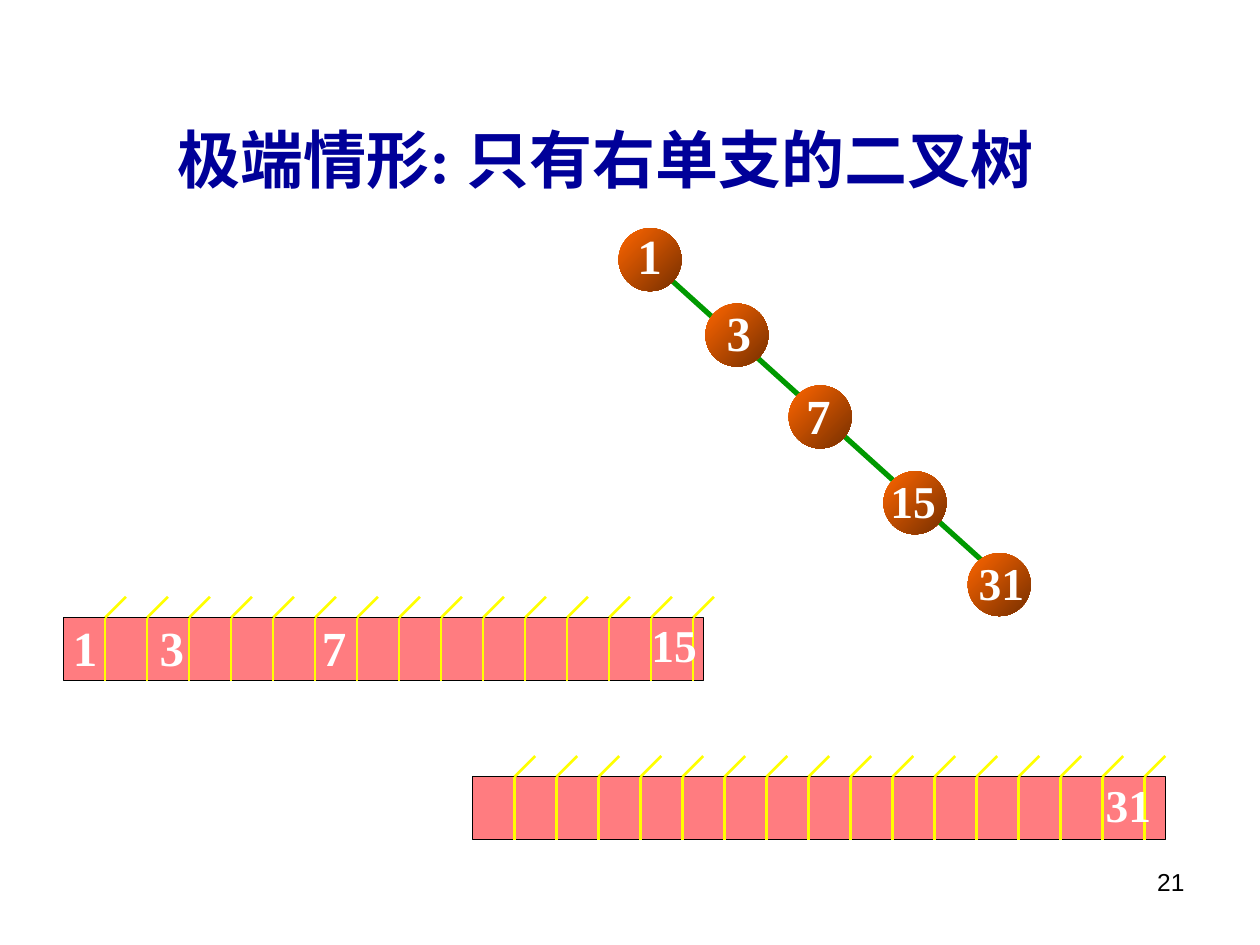
from lxml import etree
from pptx import Presentation
from pptx.dml.color import RGBColor
from pptx.enum.shapes import MSO_CONNECTOR, MSO_SHAPE
from pptx.enum.text import MSO_ANCHOR, MSO_AUTO_SIZE, PP_ALIGN
from pptx.oxml.ns import qn
from pptx.util import Cm, Pt

COLORS = {name: RGBColor.from_string(value) for name, value in {
    "title": "000099", "branch": "009900", "node_light": "FF6600",
    "node_dark": "762F00", "array": "FF7C80", "tick": "FFFF00",
    "white": "FFFFFF", "black": "000000"}.items()}
SERIF = "Times New Roman"
NODE_SIZE = 1.27
ARRAY_HEIGHT = 1.27
TICK_PITCH = 2.54 / 3
TICK_SLANT = 0.42


def write(shape, text, alignment, anchor=MSO_ANCHOR.MIDDLE, wrap=False, **font_format):
    """Fill a shape with one formatted paragraph."""
    frame = shape.text_frame
    frame.text = text
    frame.word_wrap = wrap
    frame.vertical_anchor = anchor
    frame.auto_size = MSO_AUTO_SIZE.NONE if wrap else MSO_AUTO_SIZE.SHAPE_TO_FIT_TEXT
    paragraph = frame.paragraphs[0]
    paragraph.alignment = alignment
    font = paragraph.runs[0].font
    font.color.rgb = COLORS[font_format.pop("color")]
    for name, value in font_format.items():
        setattr(font, name, value)


def add_line(shapes, start, end, color, width):
    line = shapes.add_connector(MSO_CONNECTOR.STRAIGHT, *map(Cm, start + end))
    line.line.color.rgb = COLORS[color]
    line.line.width = Pt(width)
    etree.SubElement(line._element.spPr, qn("a:effectLst"))


presentation = Presentation()
presentation.slide_width = Cm(25.4)
presentation.slide_height = Cm(19.05)
slide = presentation.slides.add_slide(presentation.slide_layouts[5])

title = slide.shapes.title
title.left, title.top, title.width, title.height = map(Cm, (3.02, 2.31, 18.36, 1.78))
title.text_frame.margin_left = title.text_frame.margin_right = 0
write(title, "极端情形: 只有右单支的二叉树", PP_ALIGN.CENTER, wrap=True,
      name=SERIF, size=Pt(36), bold=True, color="title")

# Tree: one branch line behind the nodes
tree = slide.shapes.add_group_shape().shapes
add_line(tree, (13.36, 5.49), (20.14, 11.61), "branch", 3)
for left, top in [(12.47, 4.6), (14.22, 6.12), (15.9, 7.77), (17.81, 9.5), (19.51, 11.15)]:
    node = tree.add_shape(MSO_SHAPE.OVAL, Cm(left), Cm(top), Cm(NODE_SIZE), Cm(NODE_SIZE))
    node.shadow.inherit = False
    node.line.fill.background()
    node.fill.gradient()
    node.fill.gradient_angle = 315
    for stop, color in zip(node.fill.gradient_stops, ("node_light", "node_dark")):
        stop.color.rgb = COLORS[color]

# Arrays: left, top, width, first tick, number of ticks
for left, top, width, first_tick, tick_count in [
        (9.53, 15.66, 13.97, 10.37, 16), (1.28, 12.45, 12.9, 2.12, 15)]:
    array = slide.shapes.add_shape(
        MSO_SHAPE.RECTANGLE, Cm(left), Cm(top), Cm(width), Cm(ARRAY_HEIGHT))
    array.shadow.inherit = False
    array.fill.solid()
    array.fill.fore_color.rgb = COLORS["array"]
    array.line.color.rgb = COLORS["black"]
    array.line.width = Pt(0.75)
    for index in range(tick_count):
        x = first_tick + index * TICK_PITCH
        for end in [(x, top + ARRAY_HEIGHT), (x + TICK_SLANT, top - TICK_SLANT)]:
            add_line(slide.shapes, (x, top), end, "tick", 1.5)

# Numbers on the tree nodes and in the array cells
node_labels = [("1", 12.6, 4.42), ("3", 14.4, 5.97), ("7", 16, 7.65),
               ("15", 17.7, 9.4), ("31", 19.48, 11.05)]
cell_labels = [("1", 1.22, 12.32), ("3", 2.97, 12.32), ("7", 6.24, 12.32),
               ("15", 12.88, 12.31), ("31", 22.04, 15.52)]
for shapes, labels, alignment in [(tree, node_labels, PP_ALIGN.CENTER),
                                  (slide.shapes, cell_labels, PP_ALIGN.LEFT)]:
    for text, left, top in labels:
        width, height, size = (0.99, 1.45, 28) if len(text) == 1 else (1.42, 1.37, 26)
        label = shapes.add_textbox(Cm(left), Cm(top), Cm(width), Cm(height))
        write(label, text, alignment, name=SERIF, size=Pt(size), bold=True, color="white")

page_number = slide.shapes.add_textbox(Cm(18.21), Cm(17.35), Cm(5.92), Cm(1.32))
write(page_number, "21", PP_ALIGN.RIGHT, MSO_ANCHOR.TOP, wrap=True,
      name="Arial", size=Pt(14), color="black")

presentation.save("out.pptx")
